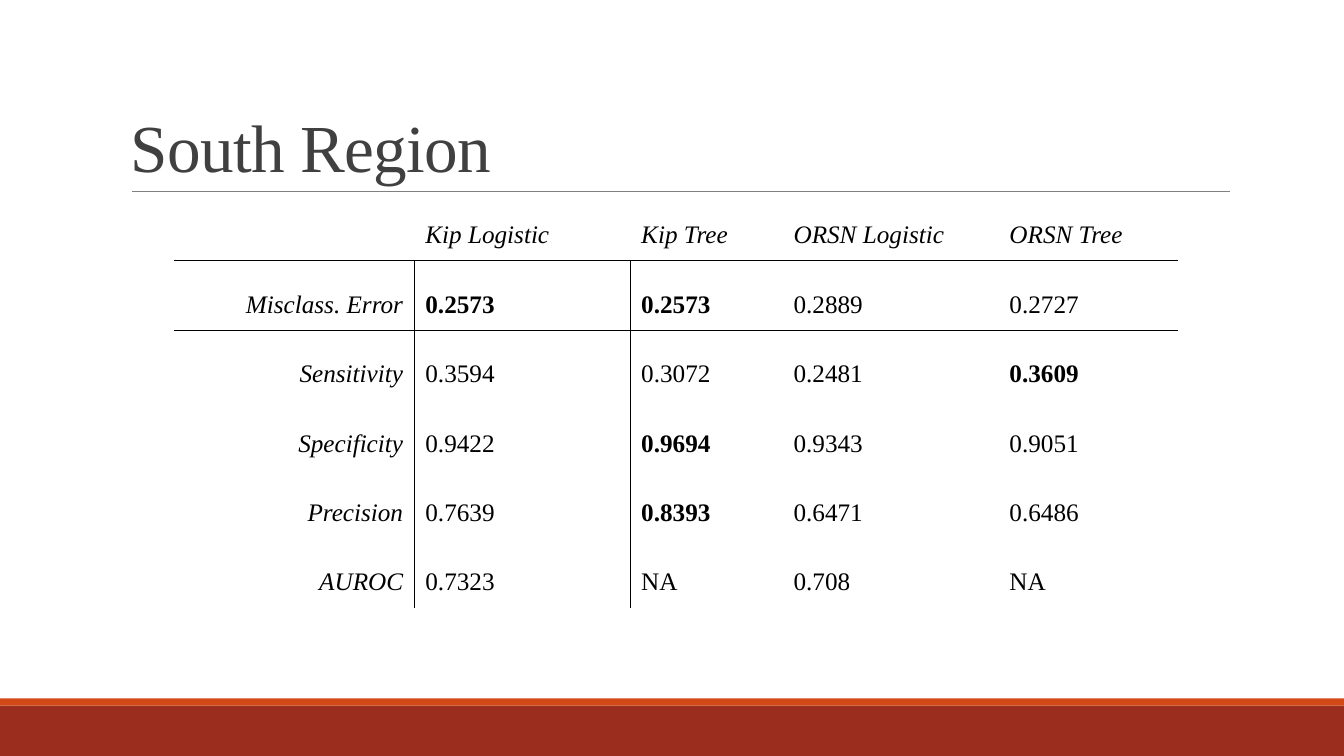
"""Build the South Region slide comparing model metrics in a table."""
from lxml import etree
from pptx import Presentation
from pptx.dml.color import RGBColor
from pptx.enum.shapes import MSO_CONNECTOR, MSO_SHAPE
from pptx.enum.text import MSO_ANCHOR, PP_ALIGN
from pptx.oxml.ns import qn
from pptx.util import Cm, Pt

STRAIGHT = MSO_CONNECTOR.STRAIGHT
RECTANGLE = MSO_SHAPE.RECTANGLE
BOTTOM = MSO_ANCHOR.BOTTOM
LEFT, RIGHT = PP_ALIGN.LEFT, PP_ALIGN.RIGHT

BLACK = RGBColor(0x00, 0x00, 0x00)
TITLE_GREY = RGBColor(0x40, 0x40, 0x40)
RULE_GREY = RGBColor(0x80, 0x80, 0x80)
BRICK = RGBColor(0x9B, 0x2D, 0x1F)
ORANGE = RGBColor(0xD3, 0x48, 0x17)
FONT = "Times New Roman"
NO_STYLE = "{2D5ABB26-0587-4C30-8999-92F81FD0307C}"

METRICS = [
    ["", "Kip Logistic", "Kip Tree", "ORSN Logistic", "ORSN Tree"],
    ["Misclass. Error", "0.2573", "0.2573", "0.2889", "0.2727"],
    ["Sensitivity", "0.3594", "0.3072", "0.2481", "0.3609"],
    ["Specificity", "0.9422", "0.9694", "0.9343", "0.9051"],
    ["Precision", "0.7639", "0.8393", "0.6471", "0.6486"],
    ["AUROC", "0.7323", "NA", "0.708", "NA"],
]
BEST = {(1, 1), (1, 2), (2, 4), (3, 2), (4, 2)}
COLUMN_WIDTHS = [6.05, 5.44, 3.84, 5.44, 4.52]
ROW_HEIGHT = 1.75
CELL_MARGINS = {"margin_left": Cm(0.28), "margin_right": Cm(0.28),
                "margin_top": Cm(0.05), "margin_bottom": Cm(0)}


def set_format(target, values):
    for key, value in values.items():
        setattr(target, key, value)


def add_border(cell, side):
    border = etree.SubElement(cell._tc.get_or_add_tcPr(), qn(f"a:ln{side}"), w=str(Pt(1)))
    fill = etree.SubElement(border, qn("a:solidFill"))
    etree.SubElement(fill, qn("a:srgbClr"), val=str(BLACK))


prs = Presentation()
prs.slide_width, prs.slide_height = Cm(33.87), Cm(19.05)
slide = prs.slides.add_slide(prs.slide_layouts[6])

for top, height, color in [(17.78, 1.27, BRICK), (17.6, 0.18, ORANGE)]:
    band = slide.shapes.add_shape(RECTANGLE, Cm(0), Cm(top), prs.slide_width, Cm(height))
    band.shadow.inherit = False
    band.fill.solid()
    band.fill.fore_color.rgb = color
    band.line.fill.background()

title_rule = slide.shapes.add_connector(STRAIGHT, Cm(3.33), Cm(4.82), Cm(31), Cm(4.82))
title_rule.line.color.rgb = RULE_GREY
title_rule.line.width = Pt(0.5)
etree.SubElement(title_rule._element.spPr, qn("a:effectLst"))

title = slide.shapes.add_textbox(Cm(3.05), Cm(0.79), Cm(27.94), Cm(4.03))
set_format(title.text_frame, {"word_wrap": True, "vertical_anchor": BOTTOM})
heading = title.text_frame.paragraphs[0]
heading.line_spacing = 0.85
heading_run = heading.add_run()
heading_run.text = "South Region"
set_format(heading_run.font, {"name": FONT, "size": Pt(48)})
heading_run.font.color.rgb = TITLE_GREY
heading_run._r.get_or_add_rPr().set("spc", "-50")

metrics = slide.shapes.add_table(
    len(METRICS), len(COLUMN_WIDTHS), Cm(4.39), Cm(4.82),
    Cm(sum(COLUMN_WIDTHS)), Cm(ROW_HEIGHT * len(METRICS))).table
set_format(metrics, {"first_row": False, "horz_banding": False})
metrics._tbl.tblPr.find(qn("a:tableStyleId")).text = NO_STYLE
for column, width in zip(metrics.columns, COLUMN_WIDTHS):
    column.width = Cm(width)

for r, values in enumerate(METRICS):
    metrics.rows[r].height = Cm(ROW_HEIGHT)
    for c, value in enumerate(values):
        cell = metrics.cell(r, c)
        borders = {"L": r > 0 and c == 1, "R": r > 0 and c == 0, "T": r == 1, "B": r == 0}
        for side, drawn in borders.items():
            if drawn:
                add_border(cell, side)
        cell.fill.background()
        set_format(cell, CELL_MARGINS)
        cell.text = value
        entry = cell.text_frame.paragraphs[0]
        set_format(entry, {"line_spacing": 2.0, "alignment": RIGHT if c == 0 else LEFT})
        set_format(entry.font, {"name": FONT, "size": Pt(18), "bold": (r, c) in BEST,
                                "italic": r == 0 or c == 0})
        entry.font.color.rgb = BLACK

prs.save("out.pptx")
